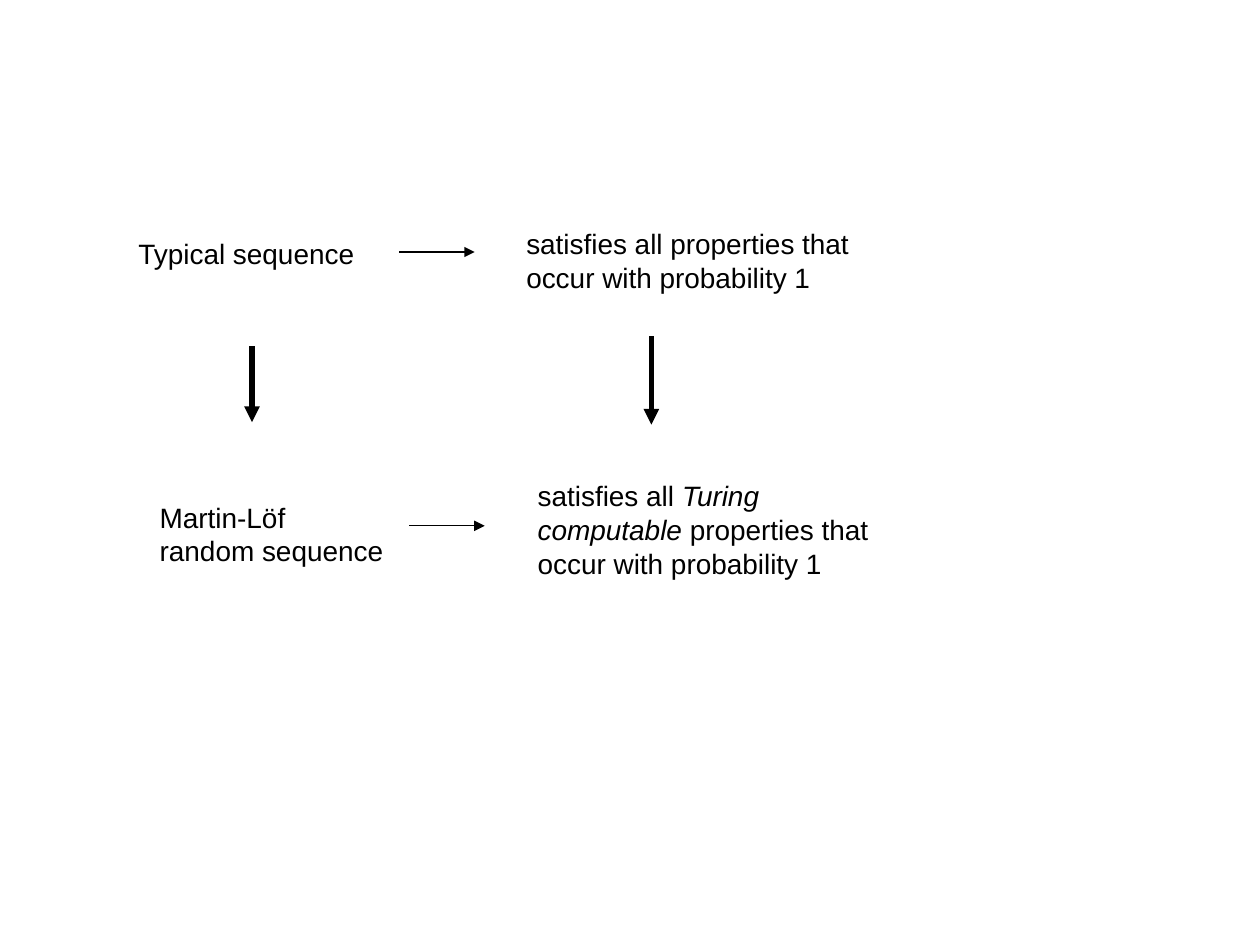
from lxml import etree
from pptx import Presentation
from pptx import util as u
from pptx.dml.color import RGBColor
from pptx.enum import shapes, text
from pptx.oxml.ns import qn

COLORS = {"ink": "000000", "paper": "FFFFFF"}
FONT = "Arial"


def add_text(s, box, runs, size=16, color="ink"):
    """Add a wrapped paragraph of (text, italic) runs; a None run breaks the line."""
    sp = s.shapes.add_textbox(*map(u.Cm, box))
    tf = sp.text_frame
    tf.word_wrap = True
    tf.vertical_anchor = text.MSO_ANCHOR.TOP
    p = tf.paragraphs[0]
    for run in runs:
        if run is None:
            p.add_line_break()
            continue
        r = p.add_run()
        r.text, r.font.italic = run
        r.font.name = FONT
        r.font.size = u.Pt(size)
        r.font.color.rgb = RGBColor.from_string(COLORS[color])


def add_arrow(s, x1, y1, x2, y2, width):
    sp = s.shapes.add_connector(
        shapes.MSO_CONNECTOR.STRAIGHT, *map(u.Cm, (x1, y1, x2, y2)))
    sp.line.color.rgb = RGBColor.from_string(COLORS["ink"])
    sp.line.width = u.Pt(width)
    etree.SubElement(sp.line._get_or_add_ln(), qn("a:tailEnd"), type="triangle")
    etree.SubElement(sp._element.spPr, qn("a:effectLst"))


def implication(s, box, label, label_y, prop, prop_x, arrow_x, arrow_y):
    """Place a sequence type, a thin arrow and the property it satisfies."""
    x, y, w, h = box
    add_text(s, (x, y + label_y, 5.08, h - label_y), label)
    add_arrow(s, x + arrow_x, y + arrow_y, x + arrow_x + 1.52, y + arrow_y, 0.75)
    add_text(s, (x + prop_x, y, w - prop_x, h), prop)


def refinements(s, box, columns):
    """Place thick down arrows, each given as (x, top, bottom)."""
    left, y = box[:2]
    for x, top, bottom in columns:
        add_arrow(s, left + x, y + top, left + x, y + bottom, 3)


def main():
    prs = Presentation()
    prs.slide_width, prs.slide_height = u.Cm(25.4), u.Cm(19.05)
    s = prs.slides.add_slide(prs.slide_layouts[6])
    s.background.fill.solid()
    s.background.fill.fore_color.rgb = RGBColor.from_string(COLORS["paper"])

    implication(
        s, (2.54, 4.45, 16.2, 2.03),
        label=[("Typical sequence", False)], label_y=0.2,
        prop=[("satisfies all properties that occur with probability 1", False)],
        prop_x=7.82, arrow_x=5.51, arrow_y=0.63)
    refinements(s, (5.08, 6.78, 8.05, 1.78), [(0, 0.2, 1.73), (8.05, 0, 1.78)])
    implication(
        s, (2.97, 9.53, 15.24, 2.29),
        label=[("Martin-Löf", False), None, ("random sequence", False)], label_y=0.43,
        prop=[("satisfies all ", False), ("Turing computable", True),
              (" properties that occur with probability 1", False)],
        prop_x=7.62, arrow_x=5.28, arrow_y=1.07)

    prs.save("out.pptx")


if __name__ == "__main__":
    main()
